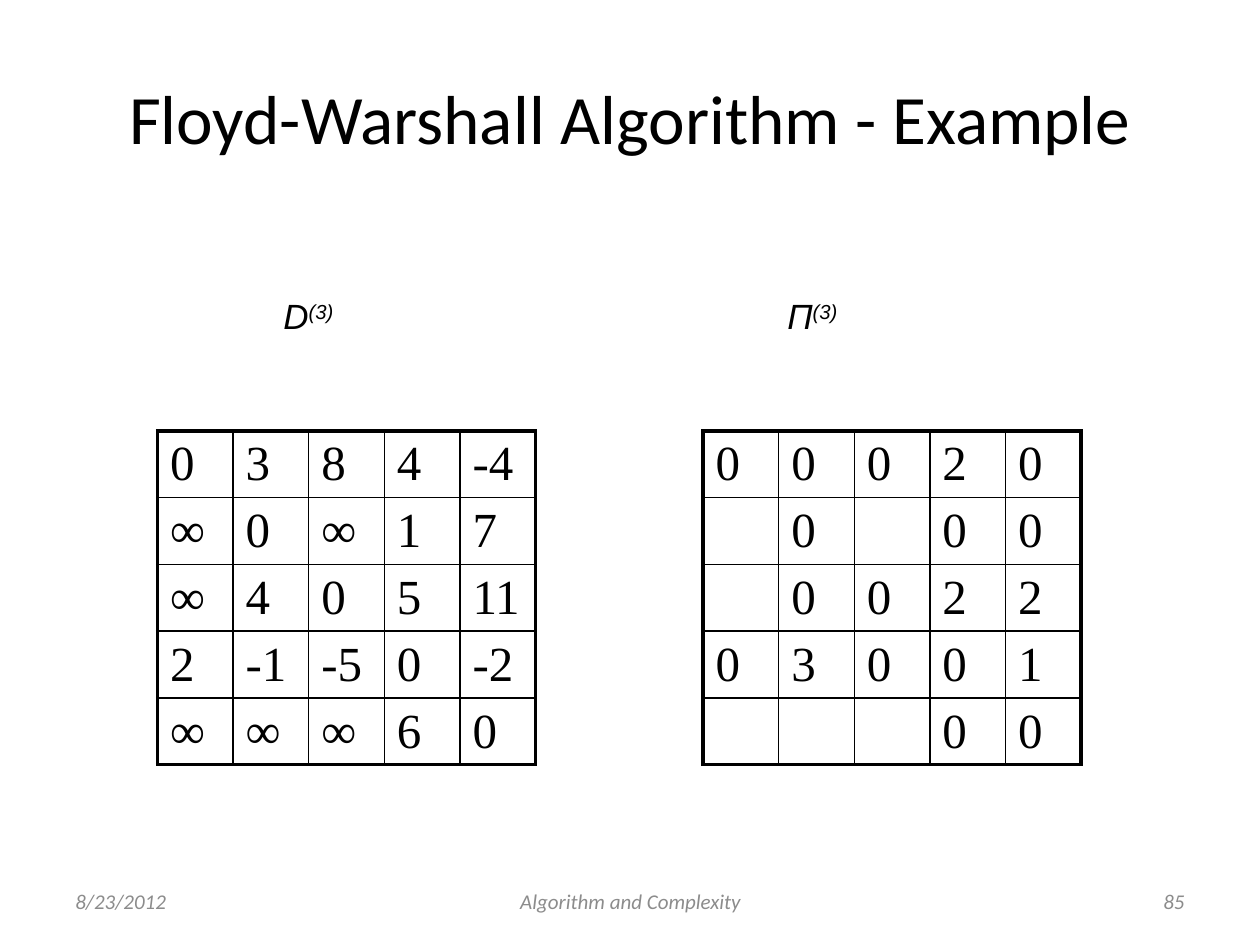
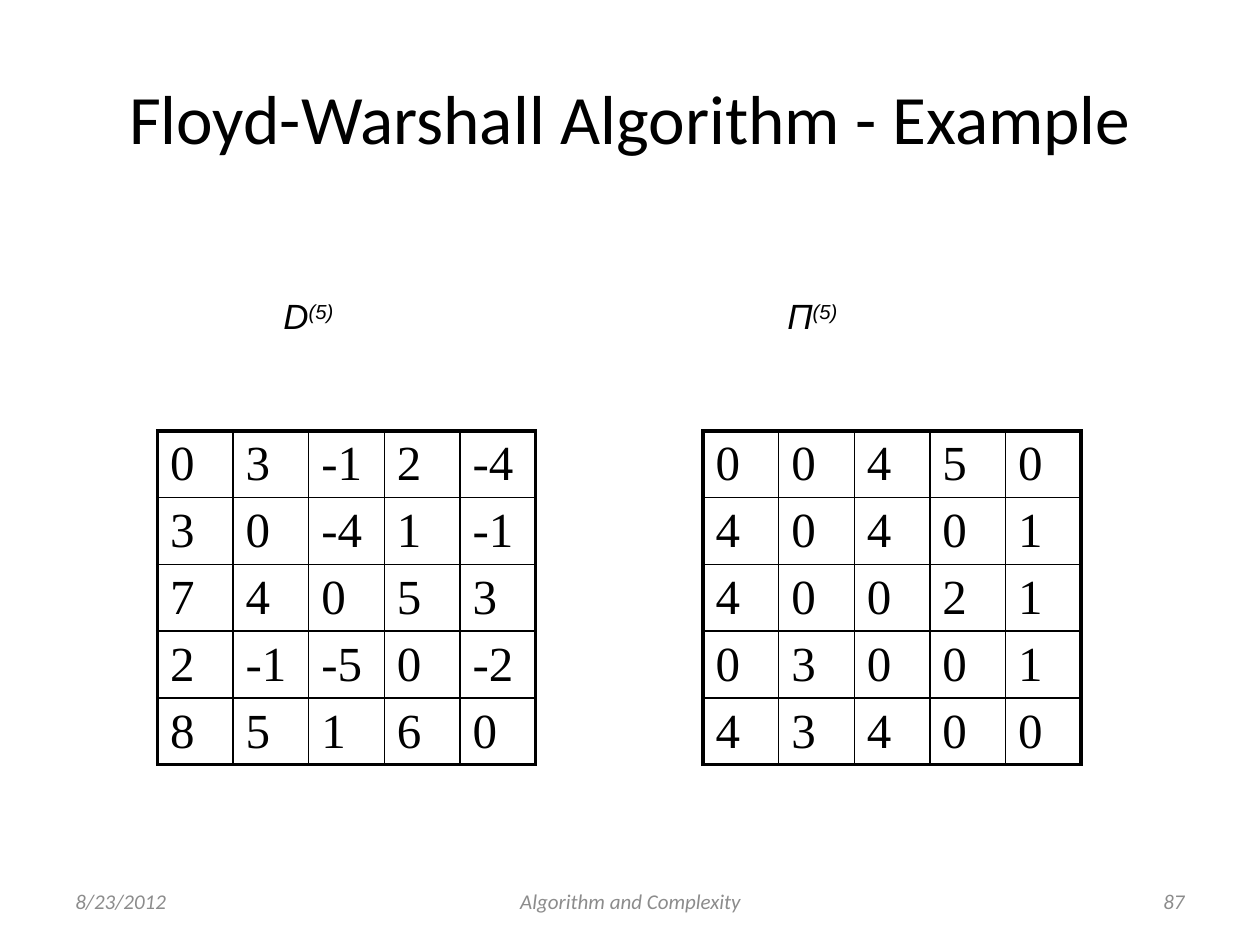
from lxml import etree
from pptx import Presentation
from pptx import util as u
from pptx.dml.color import RGBColor
from pptx.enum import text
from pptx.oxml.ns import qn

TITLE = "Floyd-Warshall Algorithm - Example"
STEPS = [
    {"step": 3, "page": 85,
     "distances": ["0 3 8 4 -4", "∞ 0 ∞ 1 7", "∞ 4 0 5 11", "2 -1 -5 0 -2", "∞ ∞ ∞ 6 0"],
     # A dot marks an empty cell
     "predecessors": ["0 0 0 2 0", ". 0 . 0 0", ". 0 0 2 2", "0 3 0 0 1", ". . . 0 0"]},
    {"step": 5, "page": 87,
     "distances": ["0 3 -1 2 -4", "3 0 -4 1 -1", "7 4 0 5 3", "2 -1 -5 0 -2", "8 5 1 6 0"],
     "predecessors": ["0 0 4 5 0", "4 0 4 0 1", "4 0 0 2 1", "0 3 0 0 1", "4 3 4 0 0"]},
]

BLACK, WHITE, GREY = "000000", "FFFFFF", "8C8C8C"
TITLE_FONT = {"name": "Calibri", "size": u.Pt(39.6)}
LABEL_FONT = {"name": "Arial", "size": u.Pt(20), "italic": True}
CELL_FONT = {"name": "Times New Roman", "size": u.Pt(28), "bold": False}
FOOTER_FONT = {"name": "Calibri", "size": u.Pt(12), "italic": True}

TITLE_AREA = (0.5, 0.3, 9, 1.25)
LABEL_AREA = (1.15, 2.29, 5.73, 0.5)
LABEL_TABS = (1, 5)
MATRIX_LEFTS = {"distances": 1.25, "predecessors": 5.58}
MATRIX_TOP, CELL_WIDTH, CELL_HEIGHT = 3.42, 0.6, 0.53
FOOTER_TOP, FOOTER_HEIGHT = 6.95, 0.4
INNER_LINE, OUTER_LINE = 1, 2.25


def inches(values):
    return [u.Inches(value) for value in values]


def color(hex_code):
    return RGBColor.from_string(hex_code)


def format_font(font, values, hex_code=BLACK):
    for name, value in values.items():
        setattr(font, name, value)
    font.color.rgb = color(hex_code)


def add_box(slide, area):
    box = slide.shapes.add_textbox(*inches(area))
    box.text_frame.word_wrap = True
    return box.text_frame


def add_title(slide):
    title = slide.shapes.title
    title.left, title.top, title.width, title.height = inches(TITLE_AREA)
    frame = title.text_frame
    frame.text = TITLE
    frame.auto_size = text.MSO_AUTO_SIZE.NONE
    frame.vertical_anchor = text.MSO_ANCHOR.MIDDLE
    para = frame.paragraphs[0]
    para.alignment = text.PP_ALIGN.CENTER
    format_font(para.runs[0].font, TITLE_FONT)


def add_labels(slide, step):
    """Write both matrix names on one line, each at its own tab stop."""
    para = add_box(slide, LABEL_AREA).paragraphs[0]
    tabs = etree.SubElement(para._p.get_or_add_pPr(), qn("a:tabLst"))
    for position in LABEL_TABS:
        etree.SubElement(tabs, qn("a:tab"), pos=str(u.Inches(position)), algn="l")
    for letter in "DΠ":
        for content, baseline in ((f"\t{letter}", 0), (f"({step})", 30000)):
            span = para.add_run()
            span.text = content
            format_font(span.font, LABEL_FONT)
            span.font._element.set("baseline", str(baseline))


def set_borders(cell, widths):
    properties = cell._tc.get_or_add_tcPr()
    for index, (side, width) in enumerate(widths.items()):
        line = etree.Element(qn(f"a:ln{side}"), w=str(u.Pt(width)))
        fill = etree.SubElement(line, qn("a:solidFill"))
        etree.SubElement(fill, qn("a:srgbClr"), val=BLACK)
        properties.insert(index, line)


def add_matrix(slide, lines, left):
    rows = [line.split() for line in lines]
    size = len(rows)
    area = (left, MATRIX_TOP, size * CELL_WIDTH, size * CELL_HEIGHT)
    table = slide.shapes.add_table(size, size, *inches(area)).table
    table.first_row = table.horz_banding = False
    for r, row in enumerate(rows):
        for c, value in enumerate(row):
            cell = table.cell(r, c)
            cell.margin_top, cell.margin_bottom = inches((0.05, 0.03))
            cell.fill.solid()
            cell.fill.fore_color.rgb = color(WHITE)
            cell.text = value.replace(".", "")
            format_font(cell.text_frame.paragraphs[0].font, CELL_FONT)
            on_edge = {"L": c == 0, "R": c == size - 1, "T": r == 0, "B": r == size - 1}
            set_borders(cell, {side: OUTER_LINE if edge else INNER_LINE
                               for side, edge in on_edge.items()})


def add_footer(slide, page):
    align = text.PP_ALIGN
    for content, left, width, alignment in (
            ("8/23/2012", 0.5, 2.33, align.LEFT),
            ("Algorithm and Complexity", 3.42, 3.17, align.CENTER),
            (str(page), 7.17, 2.33, align.RIGHT)):
        frame = add_box(slide, (left, FOOTER_TOP, width, FOOTER_HEIGHT))
        frame.vertical_anchor = text.MSO_ANCHOR.MIDDLE
        para = frame.paragraphs[0]
        para.alignment = alignment
        span = para.add_run()
        span.text = content
        format_font(span.font, FOOTER_FONT, GREY)


def main():
    deck = Presentation()
    deck.slide_width, deck.slide_height = inches((10, 7.5))
    title_only = deck.slide_layouts.get_by_name("Title Only")
    for step in STEPS:
        slide = deck.slides.add_slide(title_only)
        add_title(slide)
        for name, left in MATRIX_LEFTS.items():
            add_matrix(slide, step[name], left)
        add_labels(slide, step["step"])
        add_footer(slide, step["page"])
    deck.save("out.pptx")


if __name__ == "__main__":
    main()
